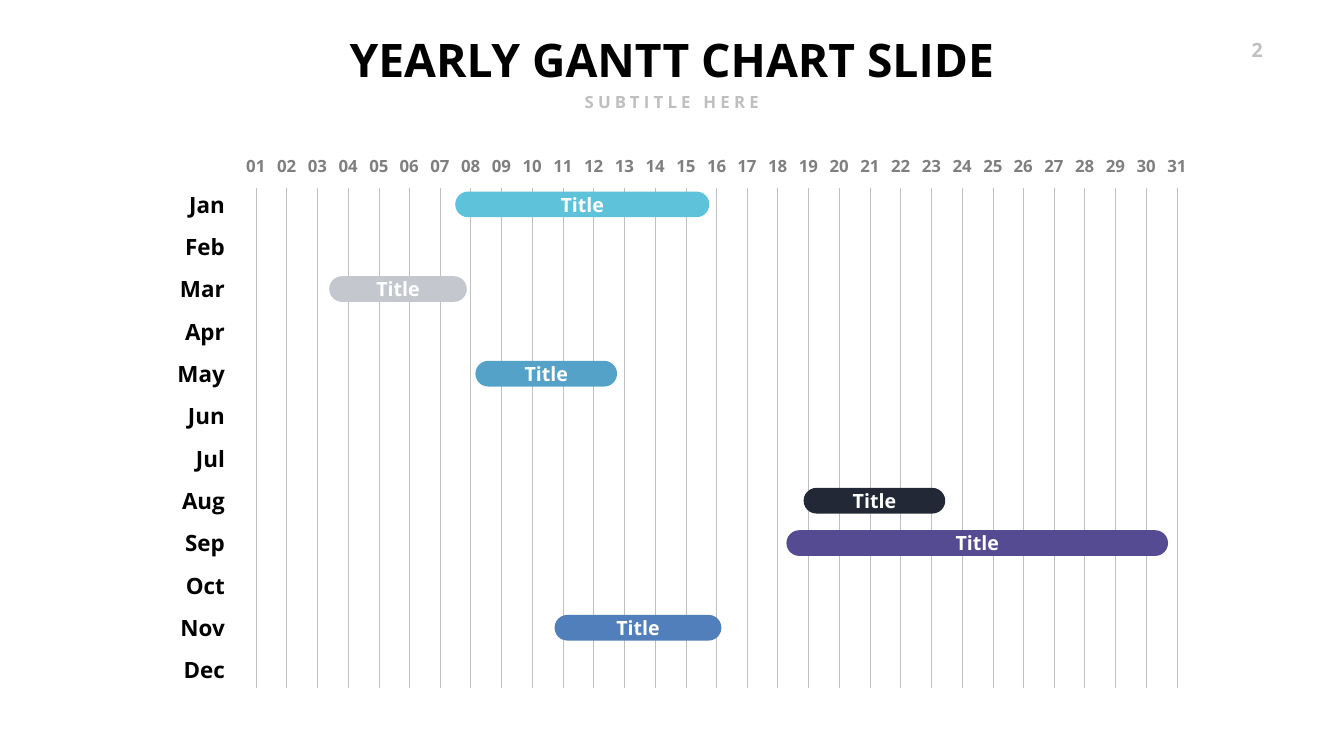
"""Builds a yearly Gantt chart slide with day columns and month rows."""
import lxml.etree
import pptx
import pptx.dml.color
import pptx.enum.shapes
import pptx.enum.text
import pptx.oxml.ns
import pptx.util

SCALE = 9144
FONT = "Open Sans"
ALIGN = pptx.enum.text.PP_ALIGN
ANCHOR = pptx.enum.text.MSO_ANCHOR

DAY_LEFT, DAY_STEP, DAY_COUNT = 508, 60.9, 31
GRID_TOP, GRID_BOTTOM = 374, 1366
MONTH_TOP, MONTH_STEP, MONTH_RIGHT = 373, 84, 456
BAR_TOP, BAR_HEIGHT = 380, 51

MONTH_WIDTHS = {
    "Jan": 92, "Feb": 100, "Mar": 110, "Apr": 100, "May": 115, "Jun": 94,
    "Jul": 78, "Aug": 106, "Sep": 100, "Oct": 102, "Nov": 109, "Dec": 105,
}
BARS = [
    ("Jan", 903, 504, "5DC2DA"),
    ("Mar", 653, 273, "C4C8CE"),
    ("May", 943, 281, "54A2C8"),
    ("Aug", 1594, 281, "232836"),
    ("Sep", 1560, 757, "544B92"),
    ("Nov", 1100, 331, "507FBB"),
]


def px(length):
    return pptx.util.Emu(round(length) * SCALE)


def color(value):
    return pptx.dml.color.RGBColor.from_string(value)


class GanttSlide:
    def __init__(self, page):
        self.page = page

    def set_text(self, box, text, size, ink, align=ALIGN.CENTER, anchor=ANCHOR.TOP, spacing=0):
        frame = box.text_frame
        frame.text = text
        frame.word_wrap = False
        frame.vertical_anchor = anchor
        para = frame.paragraphs[0]
        para.alignment = align
        para.space_before = pptx.util.Pt(0)
        span = para.runs[0]
        span.font.name = FONT
        span.font.size = pptx.util.Pt(size)
        span.font.bold = True
        span.font.color.rgb = color(ink)
        if spacing:
            span._r.get_or_add_rPr().set("spc", str(spacing * 100))
        return frame

    def placeholder(self, index, area, *text, **style):
        box = self.page.placeholders[index]
        box.left, box.top, box.width, box.height = map(px, area)
        frame = self.set_text(box, *text, **style)
        frame.auto_size = pptx.enum.text.MSO_AUTO_SIZE.SHAPE_TO_FIT_TEXT

    def label(self, area, *text, **style):
        box = self.page.shapes.add_textbox(*map(px, area))
        frame = self.set_text(box, *text, **style)
        frame.auto_size = pptx.enum.text.MSO_AUTO_SIZE.SHAPE_TO_FIT_TEXT

    def grid_line(self, x):
        line = self.page.shapes.add_connector(
            pptx.enum.shapes.MSO_CONNECTOR.STRAIGHT,
            px(x), px(GRID_TOP), px(x), px(GRID_BOTTOM))
        line.line.color.rgb = color("BFBFBF")
        line.line.width = pptx.util.Pt(1.5)
        lxml.etree.SubElement(line.element.spPr, pptx.oxml.ns.qn("a:effectLst"))

    def bar(self, area, fill, text):
        shape = self.page.shapes.add_shape(
            pptx.enum.shapes.MSO_SHAPE.ROUNDED_RECTANGLE, *map(px, area))
        shape.adjustments[0] = 0.5
        shape.shadow.inherit = False
        shape.fill.solid()
        shape.fill.fore_color.rgb = color(fill)
        shape.line.fill.background()
        frame = self.set_text(shape, text, 28, "FFFFFF", anchor=ANCHOR.MIDDLE)
        frame.margin_top = frame.margin_bottom = 0


def main():
    deck = pptx.Presentation()
    deck.slide_width, deck.slide_height = px(2666), px(1500)
    gantt = GanttSlide(deck.slides.add_slide(deck.slide_layouts[0]))

    gantt.placeholder(0, (661, 58, 1344, 121), "YEARLY GANTT CHART SLIDE", 66, "000000")
    gantt.placeholder(1, (1139, 176, 387, 50), "SUBTITLE HERE", 24, "BFBFBF", spacing=6)
    gantt.label((2428, 70, 87, 57), "2", 28, "BFBFBF", align=ALIGN.RIGHT, spacing=3)

    for row, (month, width) in enumerate(MONTH_WIDTHS.items()):
        area = (MONTH_RIGHT - width, MONTH_TOP + row * MONTH_STEP, width, 64)
        gantt.label(area, month, 32, "000000", align=ALIGN.RIGHT, anchor=ANCHOR.MIDDLE)

    for day in range(DAY_COUNT):
        x = DAY_LEFT + day * DAY_STEP
        gantt.label((x - 30, 303, 59, 50), f"{day + 1:02}", 24, "7F7F7F", anchor=ANCHOR.BOTTOM)
        gantt.grid_line(x)

    months = list(MONTH_WIDTHS)
    for month, left, width, fill in BARS:
        top = BAR_TOP + months.index(month) * MONTH_STEP
        gantt.bar((left, top, width, BAR_HEIGHT), fill, "Title")

    deck.save("out.pptx")


if __name__ == "__main__":
    main()
